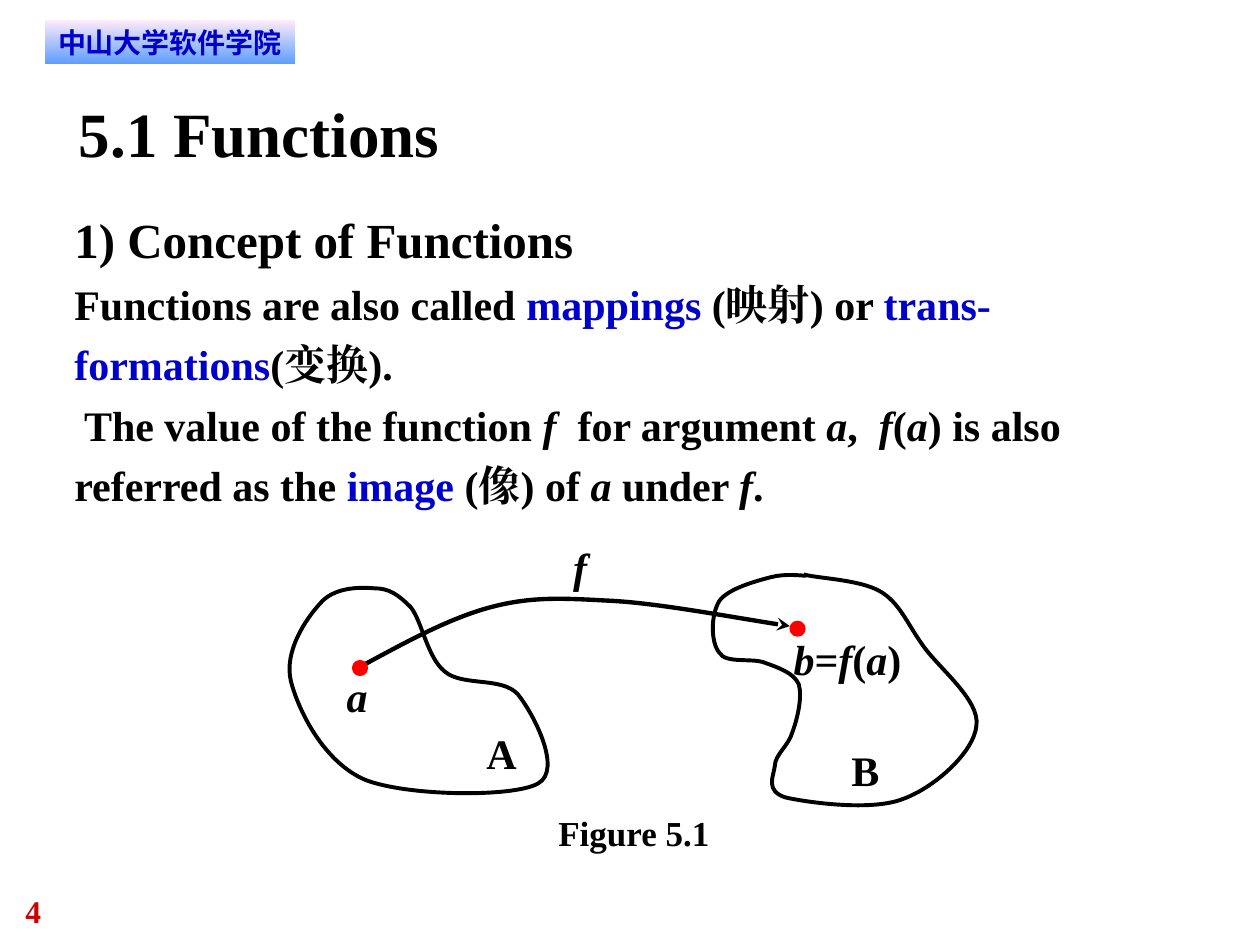
from lxml import etree
from pptx import Presentation
from pptx import util as u
from pptx.dml.color import RGBColor
from pptx.enum import shapes, text
from pptx.oxml import ns

BLACK = RGBColor(0, 0, 0)
BLUE = RGBColor(0, 0, 0xCC)
CRIMSON = RGBColor(0xCC, 0, 0)
RED = RGBColor(0xFF, 0, 0)
PINK = RGBColor(0xFF, 0xEB, 0xFA)
SKY = RGBColor(0x5E, 0x9E, 0xFF)
SERIF = "Times New Roman"

SET_A = [
    (213.8, 336.2), (205.2, 335.5), (190.8, 335.5), (182.9, 344.9),
    (175, 353.5), (162, 372.2), (166.3, 389.5),
    (170.6, 406.1), (185, 435.6), (208.8, 445.7),
    (232.6, 455), (293, 455.8), (307.4, 447.8),
    (321.8, 439.9), (304.6, 407.5), (295.9, 396.7),
    (286.6, 386.6), (264.2, 392.4), (254.2, 383.8),
    (244.1, 375.8), (241.2, 355), (234.7, 347),
    (227.5, 339.8), (222.5, 336.2), (213.8, 336.2),
]
SET_B = [
    (460.8, 329), (457.9, 329), (449.3, 327.6), (440.6, 329.8),
    (432.7, 331.9), (416.2, 336.2), (411.1, 343.4),
    (406.1, 351.4), (406.1, 367.2), (411.1, 373),
    (414.7, 379.4), (429.8, 375.8), (437, 378.7),
    (445, 381.6), (453.6, 384.5), (456.5, 391),
    (458.6, 398.2), (455.8, 410.4), (452.9, 418.3),
    (450.7, 426.2), (442.8, 431.3), (442.8, 437.8),
    (442.1, 443.5), (437, 452.2), (449.3, 455.8),
    (462.2, 458.6), (498.2, 463.7), (516.2, 456.5),
    (534.2, 450), (556.6, 429.8), (558, 414.7),
    (560.2, 400.3), (537.1, 382.3), (527.8, 369.4),
    (518.4, 356.4), (514.1, 344.2), (502.6, 337.7),
    (491, 331.2), (467.3, 330.5), (459.4, 328.3),
]
MAPPING = [
    (208.8, 379.4), (234, 365.8), (259.2, 352.1), (283, 346.3),
    (306, 340.6), (324, 342), (350.6, 343.4),
    (376.6, 344.9), (420, 353), (451.4, 357.8),
]
CONCEPT = [
    ("1) Concept of Functions", 28),
    ("Functions are also called _mappings_ (映射) or _trans-formations_(变换).", 24),
    (" The value of the function *f*  for argument *a*,  *f*(*a*) is also "
     "referred as the _image_ (像) of *a* under *f*.", 24),
]
LABELS = [
    ("A", 278, 416, 17, 24),
    ("B", 486.5, 425.5, 16, 24),
    ("*a*", 198, 383, 15, 24),
    ("*b*=*f*(*a*)", 453.5, 362, 62, 24),
    ("*f*", 327.5, 309.5, 8, 24),
    ("Figure 5.1", 319, 463.5, 87, 20),
]


def write(para, content, size=24, color=BLACK, font=SERIF):
    for i, part in enumerate(content.split("_")):
        for j, piece in enumerate(part.split("*")):
            if not piece:
                continue
            span = para.add_run()
            span.text = piece
            span.font.size = u.Pt(size)
            span.font.bold = True
            span.font.italic = j % 2 == 1
            span.font.color.rgb = BLUE if i % 2 else color
            span.font.name = font
            etree.SubElement(span.font._element, ns.qn("a:ea"), typeface=font)


def place(box, left, top, width, height):
    box.left, box.top = u.Pt(left), u.Pt(top)
    box.width, box.height = u.Pt(width), u.Pt(height)


def prepare_frame(box, wrap=True):
    frame = box.text_frame
    frame.margin_left = frame.margin_right = 0
    frame.margin_top = frame.margin_bottom = 0
    frame.vertical_anchor = text.MSO_ANCHOR.TOP
    frame.auto_size = text.MSO_AUTO_SIZE.SHAPE_TO_FIT_TEXT
    frame.word_wrap = wrap
    return frame


def add_label(page, content, left, top, width, size, color=BLACK, wrap=False):
    box = page.shapes.add_textbox(*map(u.Pt, (left, top, width, size * 1.2)))
    write(prepare_frame(box, wrap).paragraphs[0], content, size=size, color=color)


def add_title(page, content):
    box = page.shapes.title
    place(box, 45, 54, 630, 43)
    para = prepare_frame(box).paragraphs[0]
    para.alignment = text.PP_ALIGN.LEFT
    write(para, content, size=36)


def add_body(page, lines):
    box = page.shapes.add_textbox(*map(u.Pt, (42.5, 113, 616, 178.5)))
    frame = prepare_frame(box)
    for index, (content, size) in enumerate(lines):
        para = frame.add_paragraph() if index else frame.paragraphs[0]
        para.line_spacing = 1.2
        write(para, content, size=size)


def add_banner(page, content):
    box = page.shapes.add_shape(
        shapes.MSO_SHAPE.RECTANGLE, *map(u.Pt, (25.5, 11.5, 143, 25)))
    box.shadow.inherit = False
    box.line.fill.background()
    box.fill.gradient()
    box.fill.gradient_angle = 270
    for stop, color in zip(box.fill.gradient_stops, (PINK, SKY)):
        stop.color.rgb = color
    frame = prepare_frame(box, wrap=False)
    frame.auto_size = text.MSO_AUTO_SIZE.NONE
    frame.vertical_anchor = text.MSO_ANCHOR.MIDDLE
    para = frame.paragraphs[0]
    para.alignment = text.PP_ALIGN.CENTER
    write(para, content, size=16, color=BLUE, font="DejaVu Sans")


def add_curve(page, points, weight=2.25, closed=False, arrow=False):
    start, *rest = [(u.Pt(x), u.Pt(y)) for x, y in points]
    builder = page.shapes.build_freeform(*start)
    builder.add_line_segments(rest, close=closed)
    curve = builder.convert_to_shape()
    curve.shadow.inherit = False
    curve.fill.background()
    curve.line.color.rgb = BLACK
    curve.line.width = u.Pt(weight)
    segments = list(curve._element.iter(ns.qn("a:lnTo")))
    for first in range(0, len(segments), 3):
        bezier = etree.Element(ns.qn("a:cubicBezTo"))
        segments[first].addprevious(bezier)
        for segment in segments[first:first + 3]:
            bezier.append(segment[0])
            segment.getparent().remove(segment)
    if arrow:
        outline = curve._element.spPr.find(ns.qn("a:ln"))
        etree.SubElement(outline, ns.qn("a:tailEnd"),
                         type="stealth", w="med", len="med")


def add_dot(page, left, top):
    dot = page.shapes.add_shape(
        shapes.MSO_SHAPE.OVAL, *map(u.Pt, (left, top, 8.5, 8.5)))
    dot.shadow.inherit = False
    dot.fill.solid()
    dot.fill.fore_color.rgb = RED
    dot.line.color.rgb = RED
    dot.line.width = u.Pt(0.75)


def main():
    deck = Presentation()
    deck.slide_width, deck.slide_height = u.Pt(720), u.Pt(540)
    page = deck.slides.add_slide(deck.slide_layouts[5])
    add_label(page, "4", 14.5, 510, 54, 18, color=CRIMSON, wrap=True)
    add_banner(page, "中山大学软件学院")
    add_title(page, "5.1 Functions")
    add_body(page, CONCEPT)
    add_curve(page, SET_A, closed=True)
    add_curve(page, SET_B)
    add_curve(page, MAPPING, weight=2.5, arrow=True)
    add_dot(page, 451.5, 355)
    add_dot(page, 201.5, 377.5)
    for label in LABELS:
        add_label(page, *label)
    deck.save("out.pptx")


if __name__ == "__main__":
    main()
